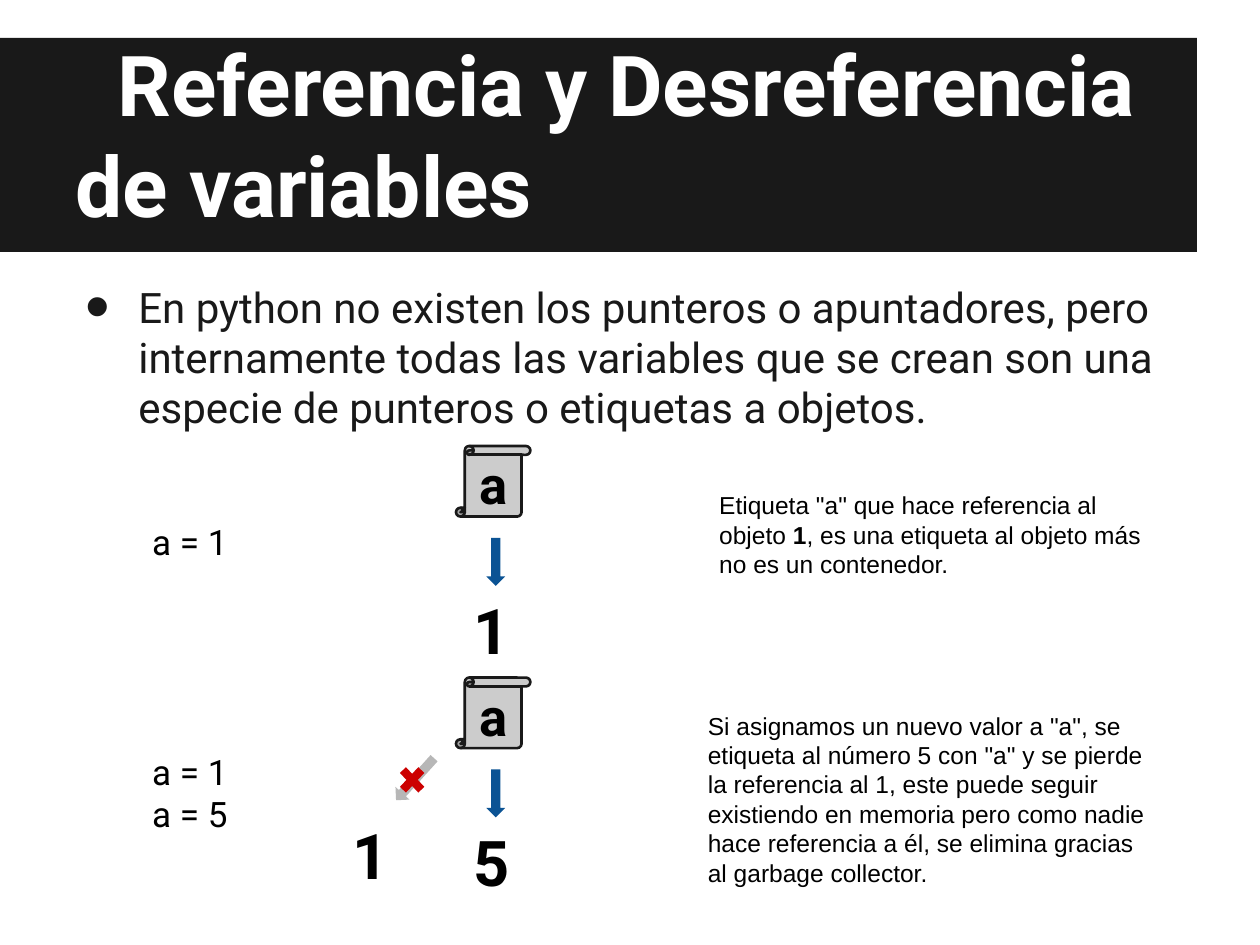
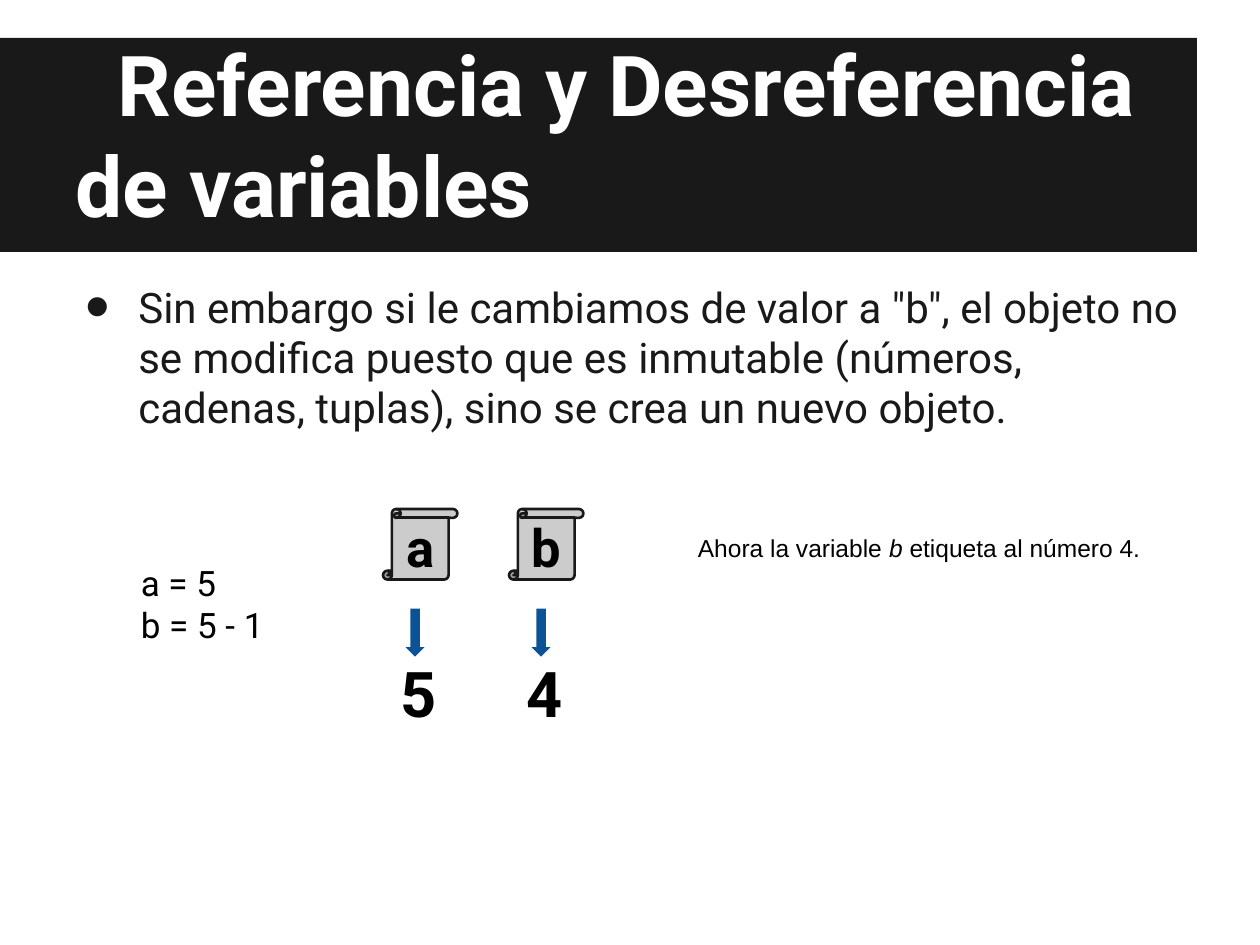
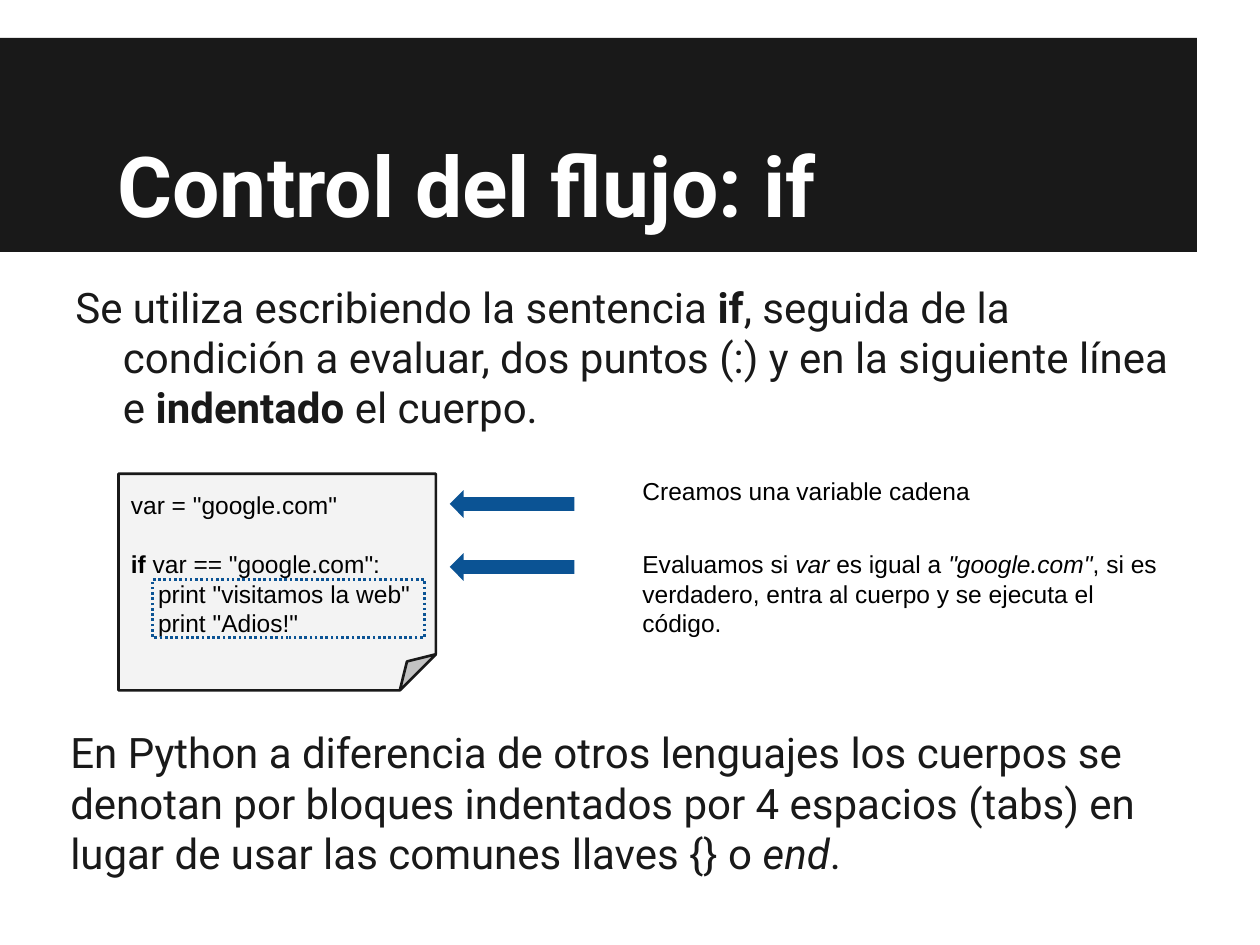
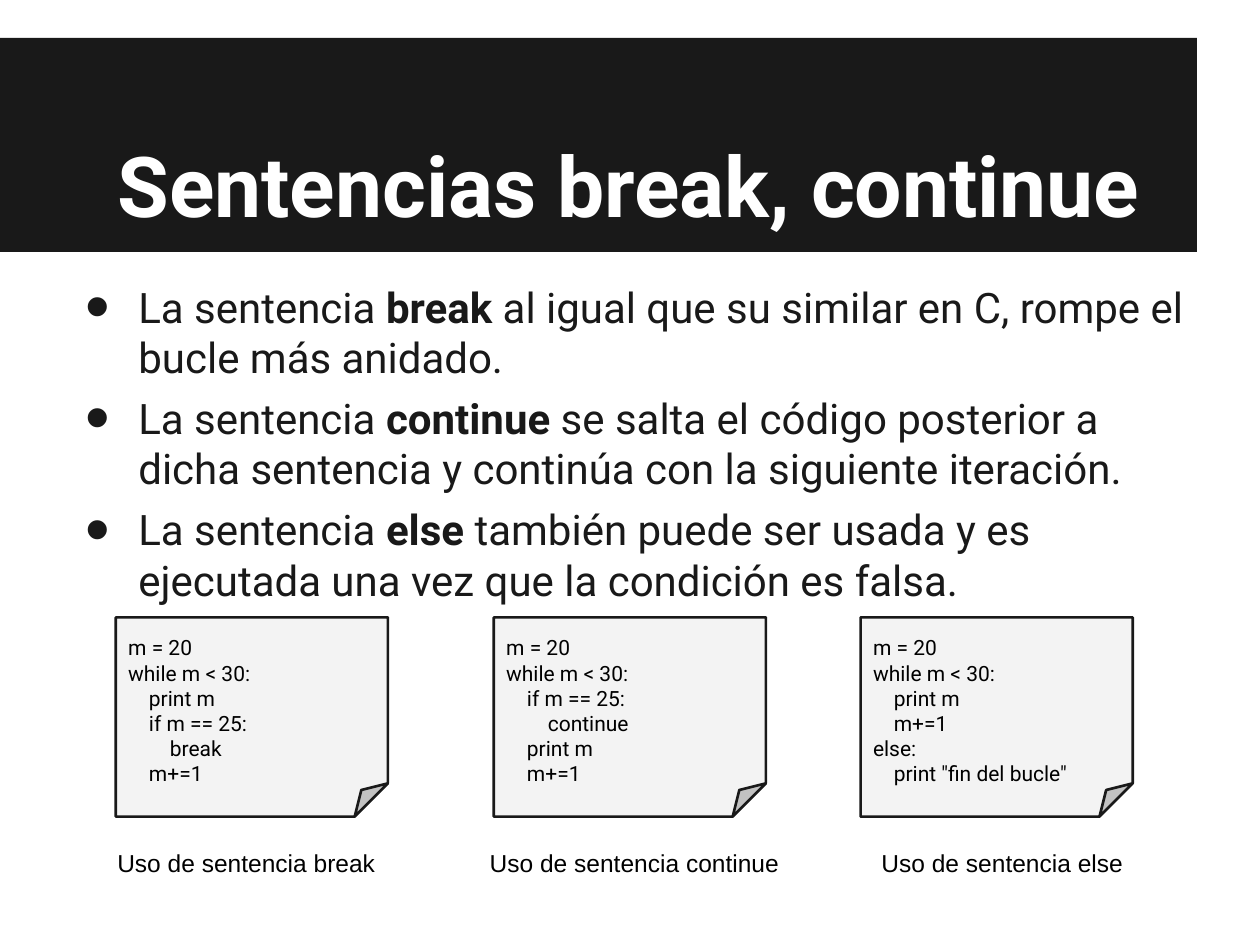
from dataclasses import dataclass

from lxml import etree
from pptx import Presentation
from pptx.dml.color import RGBColor
from pptx.enum import dml, shapes, text
from pptx.oxml.ns import qn
from pptx.util import Pt


@dataclass(frozen=True)
class Theme:
    ink: str = "191919"
    black: str = "000000"
    white: str = "FFFFFF"
    blue: str = "0B5394"
    tag: str = "CCCCCC"
    paper: str = "F3F3F3"
    lost: str = "B7B7B7"
    red: str = "CC0000"
    sans: str = "Roboto"
    plain: str = "Arial"
    title: int = 48
    value: int = 36
    label: int = 30
    body: int = 24
    code: int = 20
    note: int = 14
    small: int = 12
    edge: float = 1.5
    inset: float = 7.2
    leading: float = 1.2


T = Theme()
KIND = shapes.MSO_SHAPE
TOP, MID, LOW = text.MSO_ANCHOR.TOP, text.MSO_ANCHOR.MIDDLE, text.MSO_ANCHOR.BOTTOM
LEFT, MIDDLE = text.PP_ALIGN.LEFT, text.PP_ALIGN.CENTER


def draw(slide, kind, at, fill=None, line=None):
    """Add a preset shape, or a text box when kind is None."""
    at = [Pt(n) for n in at]
    if kind is None:
        return slide.shapes.add_textbox(*at)
    shape = slide.shapes.add_shape(kind, *at)
    shape.shadow.inherit = False
    if fill:
        shape.fill.solid()
        shape.fill.fore_color.rgb = RGBColor.from_string(fill)
    else:
        shape.fill.background()
    if line:
        shape.line.color.rgb = RGBColor.from_string(line)
        shape.line.width = Pt(T.edge)
    else:
        shape.line.fill.background()
    return shape


def write(shape, lines, size, font=T.sans, color=T.black, bold=None, style="bold",
          align=LEFT, anchor=TOP, margin=0, indent=0, gap=0, bullet=False):
    """Fill a shape with paragraphs; parts between bars take the given style."""
    frame = shape.text_frame
    frame.word_wrap = True
    frame.auto_size = text.MSO_AUTO_SIZE.NONE
    frame.vertical_anchor = anchor
    frame.margin_left = frame.margin_right = Pt(T.inset)
    frame.margin_top = frame.margin_bottom = Pt(T.inset)
    for i, words in enumerate(lines):
        para = frame.add_paragraph() if i else frame.paragraphs[0]
        para.alignment = align
        para.line_spacing = Pt(T.leading * size)
        if i and gap:
            para.space_before = Pt(gap)
        props = para._p.get_or_add_pPr()
        props.set("marL", str(Pt(margin)))
        props.set("indent", str(Pt(indent)))
        if bullet:
            tint = etree.SubElement(props, qn("a:buClr"))
            etree.SubElement(tint, qn("a:srgbClr"), val=color)
            etree.SubElement(props, qn("a:buSzPct"), val="167000")
            etree.SubElement(props, qn("a:buFont"), typeface=T.plain)
            etree.SubElement(props, qn("a:buChar"), char="•")
        para.font.name = font
        para.font.size = Pt(size)
        para.font.bold = bold
        para.font.color.rgb = RGBColor.from_string(color)
        for j, part in enumerate(words.split("|")):
            if part:
                run = para.add_run()
                run.text = part
                if j % 2:
                    setattr(run.font, style, True)
    return frame


deck = Presentation()
deck.slide_width, deck.slide_height = Pt(720), Pt(540)
layout = deck.slide_layouts[5]

# Titles, over one band kept in the layout
pages = []
for name in ("Referencia y Desreferencia de variables",
             "Referencia y Desreferencia de variables",
             "Control del flujo: if",
             "Sentencias break, continue"):
    page = deck.slides.add_slide(layout)
    head = page.shapes.title
    head.left, head.top, head.width, head.height = Pt(36), Pt(21.6), Pt(648), Pt(119.5)
    write(head, [name], T.title, color=T.white, bold=True, anchor=LOW, indent=24)
    pages.append(page)
refs, copies, flow, loops = pages
band = draw(refs, KIND.RECTANGLE, (0, 21.6, 684, 122.4), T.ink)
layout.shapes.element.insert(2, band.element)

# Bulleted body text
for page, lines in (
    (refs, ["En python no existen los punteros o apuntadores, pero internamente todas las "
            "variables que se crean son una especie de punteros o etiquetas a objetos."]),
    (copies, ['Sin embargo si le cambiamos de valor a "b", el objeto no se modifica puesto que '
              "es inmutable (números, cadenas, tuplas), sino se crea un nuevo objeto."]),
    (loops, ["La sentencia |break| al igual que su similar en C, rompe el bucle más anidado.",
             "La sentencia |continue| se salta el código posterior a dicha sentencia y "
             "continúa con la siguiente iteración.",
             "La sentencia |else |también puede ser usada y es ejecutada una vez que la "
             "condición es falsa."]),
):
    body = draw(page, None, (36, 153.4, 648, 363.6))
    write(body, lines, T.body, color=T.ink, margin=36, indent=-30.2, gap=6, bullet=True)

# Code beside the variable diagrams
for page, at, lines in (
    (refs, (79.9, 290.2, 63.4, 43.2), ["a = 1"]),
    (refs, (79.9, 421.9, 63.4, 59.8), ["a = 1", "a = 5"]),
    (copies, (73.4, 313.9, 91.4, 86.4), ["a = 5", "b = 5 - 1"]),
):
    write(draw(page, None, at), lines, T.code)

# Variable tags, each pointing down at its value
for page, x, y, name, value, dx, dy in (
    (refs, 260.6, 254.9, "a", "1", 17.3, 52.5),
    (refs, 260.6, 387.2, "a", "5", 17.3, 52.5),
    (copies, 218.9, 290.9, "a", "5", 12.9, 56.9),
    (copies, 290.9, 290.9, "b", "4", 12.9, 56.9),
):
    tag = draw(page, KIND.VERTICAL_SCROLL, (x, y, 42.5, 40.3), T.tag, T.ink)
    write(tag, [name], T.label, bold=True, align=MIDDLE, anchor=MID)
    write(draw(page, None, (x + 2.9, y + 76.2, 38.9, 46.1)), [value], T.value, bold=True)
    draw(page, KIND.DOWN_ARROW, (x + dx, y + dy, 10.8, 27.4), T.blue)

# The reference that is lost
write(draw(refs, None, (194.4, 459.4, 38.9, 46.1)), ["1"], T.value, bold=True)
arrow = draw(refs, KIND.DOWN_ARROW, (231.8, 429.1, 10.8, 32.4), T.lost)
arrow.rotation = 42.1
cross = draw(refs, KIND.MATH_MULTIPLY, (225.4, 434.9, 20.2, 21.6), T.red)
cross.adjustments[0] = 0.235

# Side notes
for page, at, words, style in (
    (refs, (403.9, 272.9, 259.2, 69.8),
     'Etiqueta "a" que hace referencia al objeto |1|, es una etiqueta al objeto más no es un '
     "contenedor.", "bold"),
    (refs, (397.4, 398.9, 272.2, 69.8),
     'Si asignamos un nuevo valor a "a", se etiqueta al número 5 con "a" y se pierde la '
     "referencia al 1, este puede seguir existiendo en memoria pero como nadie hace "
     "referencia a él, se elimina gracias al garbage collector.", "bold"),
    (copies, (391.7, 297.4, 272.2, 118),
     "Ahora la variable |b| etiqueta al número 4.", "italic"),
    (flow, (360, 265, 308.9, 35.3), "Creamos una variable cadena", "italic"),
    (flow, (360, 306.7, 308.9, 67),
     'Evaluamos si |var| es igual a |"google.com"|, si es verdadero, entra al cuerpo y se '
     "ejecuta el código.", "italic"),
):
    write(draw(page, None, at), [words], T.note, T.plain, style=style)

# The if statement
intro = draw(flow, None, (36, 153.4, 648, 109.4))
write(intro, ["Se utiliza escribiendo la sentencia |if|, seguida de la condición a evaluar, dos "
              "puntos (:) y en la siguiente línea e |indentado| el cuerpo."],
      T.body, color=T.ink, margin=27.2, indent=-27.2)
card = draw(flow, KIND.FOLDED_CORNER, (67.7, 270.7, 181.4, 123.8), T.paper, T.ink)
frame = write(card, ['var = "google.com"', '|if| var == "google.com":',
                     '    print "visitamos la web"', '    print "Adios!"'],
              T.note, T.plain, anchor=MID)
frame.paragraphs[1].space_before = Pt(T.leading * T.note)
for y in (280.1, 316.1):
    draw(flow, KIND.LEFT_ARROW, (257, y, 71.3, 15.8), T.blue)
block = draw(flow, KIND.RECTANGLE, (87.1, 331.2, 155.5, 33.1), line=T.blue)
block.line.dash_style = dml.MSO_LINE.ROUND_DOT
close = draw(flow, None, (33.1, 410.4, 655.2, 113))
frame = write(close, ["En Python a diferencia de otros lenguajes los cuerpos se denotan por "
                      "bloques indentados por 4 espacios (tabs) en lugar de usar las comunes "
                      "llaves {} o |end|."],
              T.body, color=T.ink, style="italic", anchor=MID)
frame.margin_bottom = Pt(24)

# Loop examples with captions
for x, left, name, lines in (
    (66.2, 40.3, "break",
     ["    print m", "    if m == 25:", "        break", "    m+=1"]),
    (282.2, 262.1, "continue",
     ["    if m == 25:", "        continue", "    print m", "    m+=1"]),
    (491.8, 472.3, "else",
     ["    print m", "    m+=1", "else:", '    print "fin del bucle"']),
):
    card = draw(loops, KIND.FOLDED_CORNER, (x, 352.8, 155.5, 113.8), T.paper, T.ink)
    frame = write(card, ["m = 20", "while m < 30:", *lines], T.small)
    frame.margin_top = Pt(10)
    label = draw(loops, None, (left, 477.4, 200.9, 23.8))
    write(label, [f"Uso de sentencia {name}"], T.note, T.plain, align=MIDDLE)

deck.save("out.pptx")
